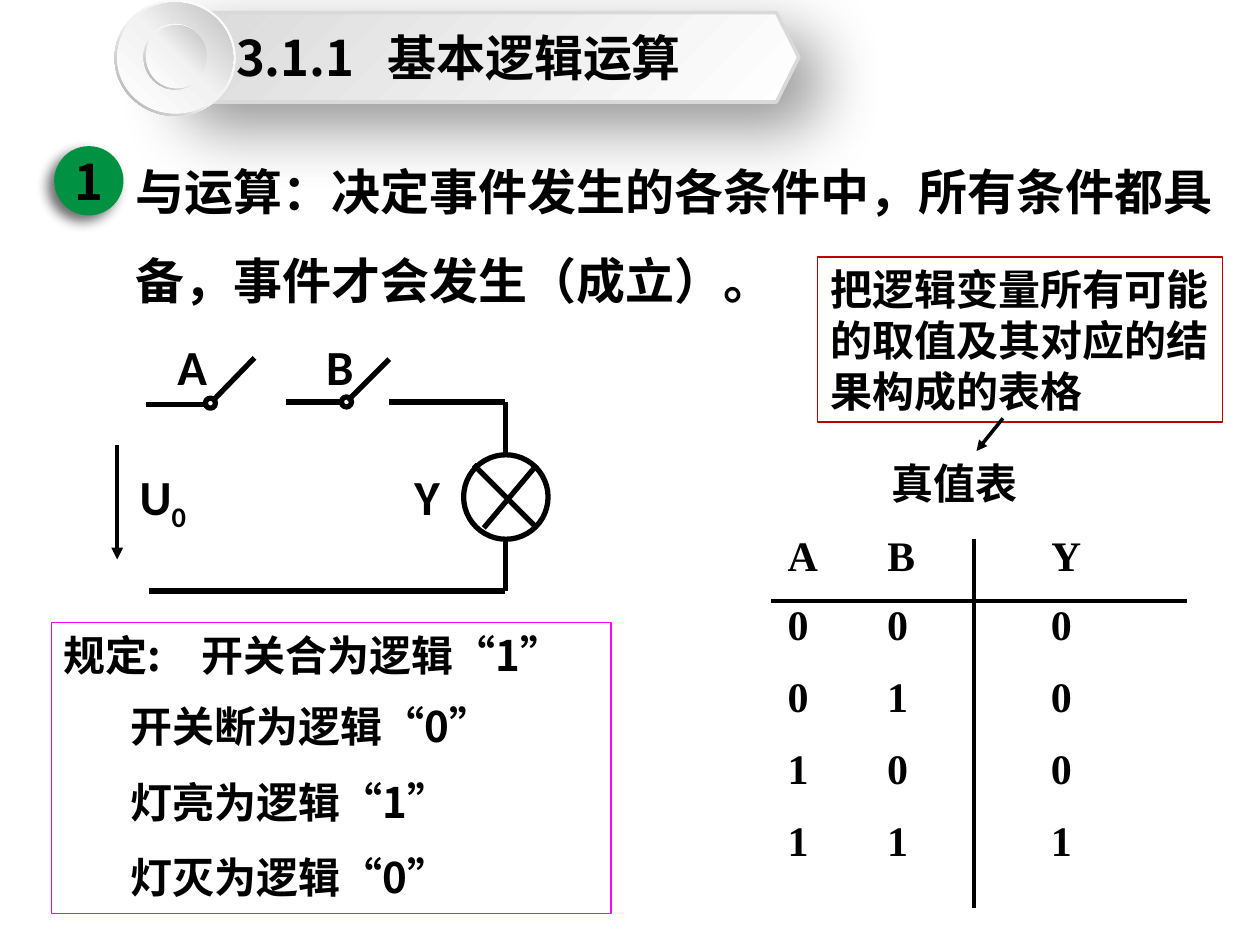
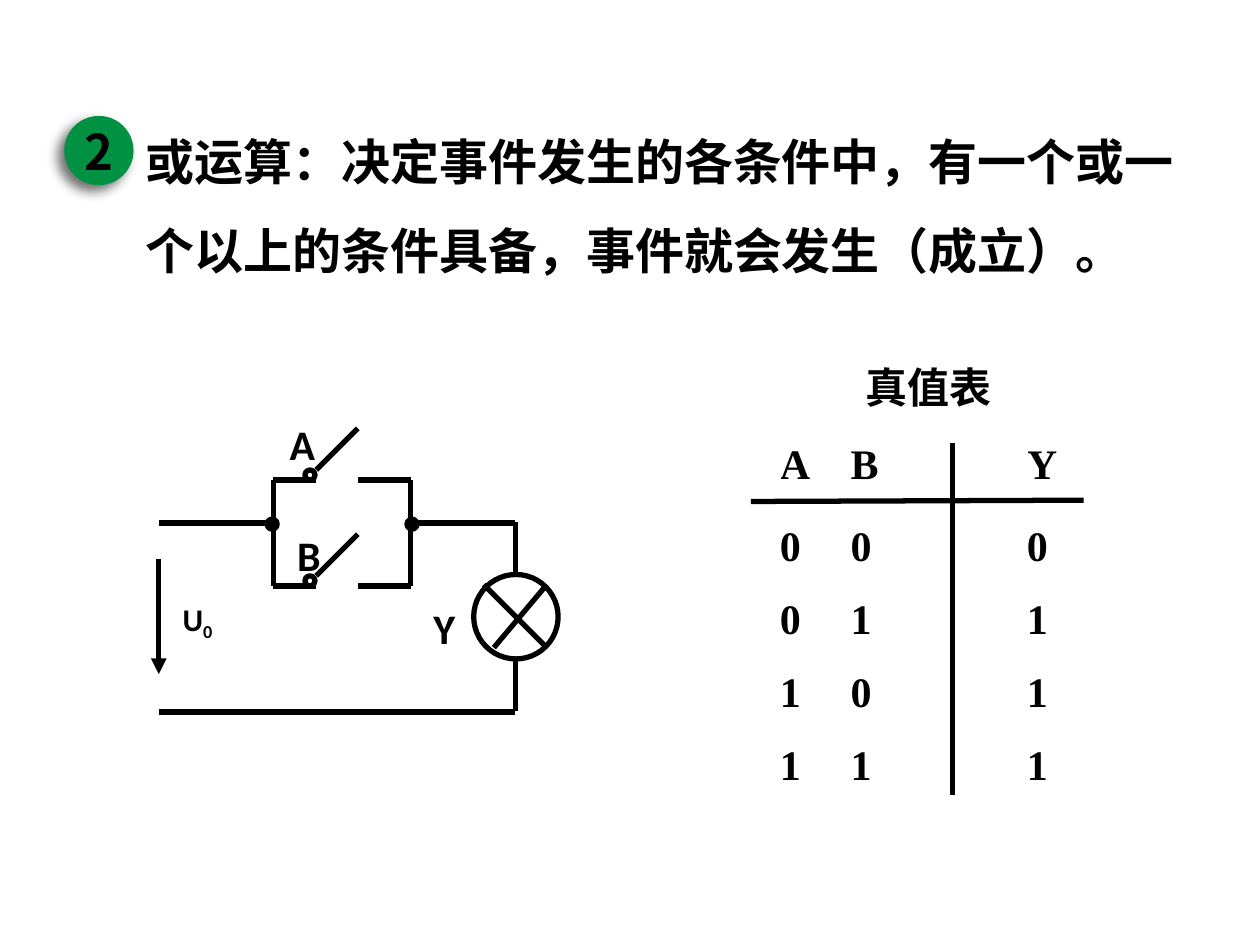
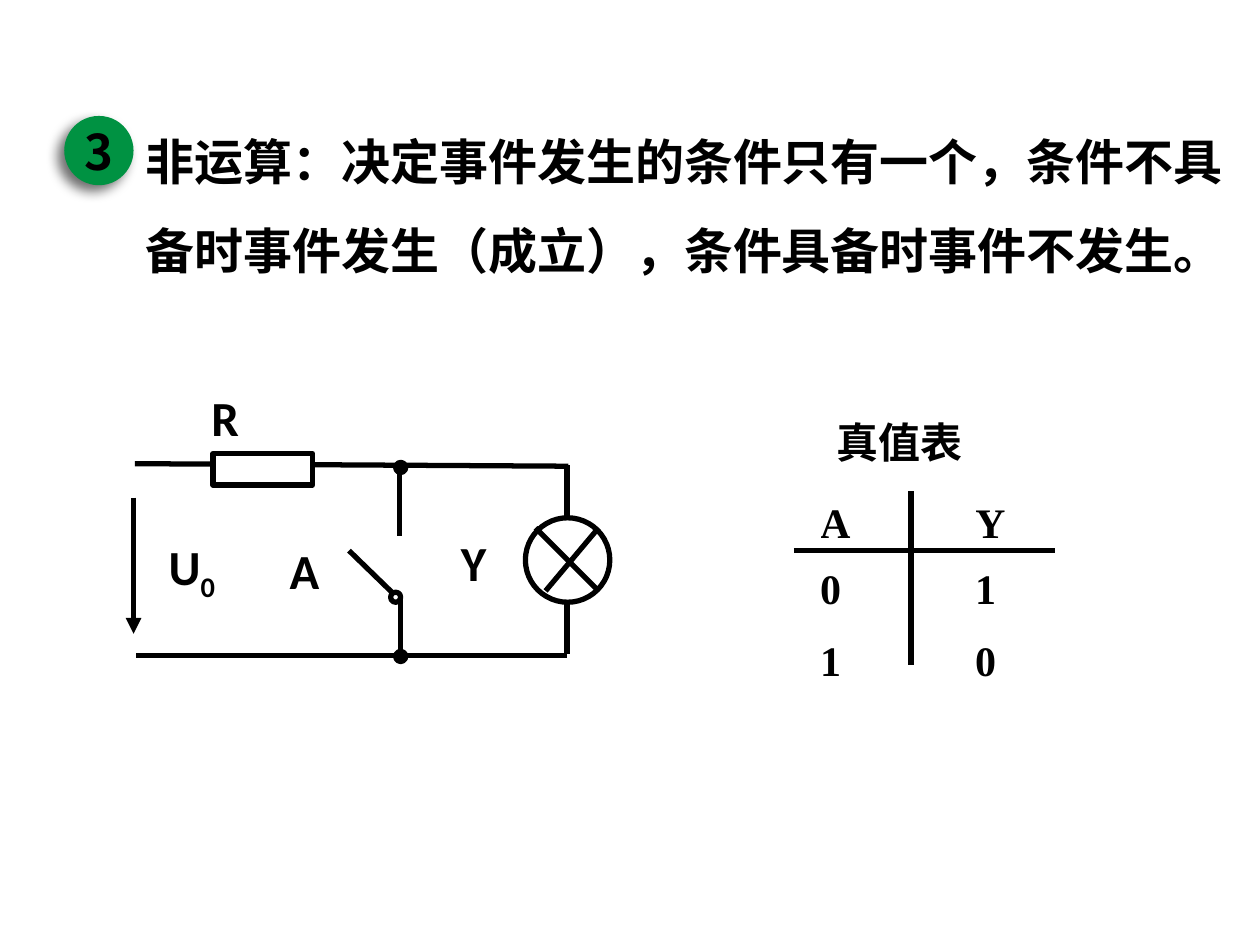
from dataclasses import dataclass

from lxml.etree import SubElement
from pptx import Presentation
from pptx.dml.color import RGBColor
from pptx.enum.shapes import MSO_CONNECTOR as Connector, MSO_SHAPE as Preset
from pptx.enum.text import MSO_ANCHOR as Anchor, PP_ALIGN as Align
from pptx.oxml.ns import qn
from pptx.util import Inches, Pt


@dataclass(frozen=True)
class Theme:
    ink: str = "000000"
    paper: str = "FFFFFF"
    badge: str = "009242"
    edge: str = "D9D9D9"
    rules: str = "FF00FF"
    callout: str = "C00000"
    banner: tuple = ((0, "FFFFFF"), (100, "D9D9D9"))
    ring: tuple = ((0, "FFFFFF"), (55, "F2F2F2"), (100, "A6A6A6"))
    disc: tuple = ((0, "FFFFFF"), (51, "F2F2F2"), (100, "BFBFBF"))
    # Shadows: opacity %, blur, distance, direction
    banner_shadow: tuple = (42, 38, 19, 45)
    badge_shadow: tuple = (57, 7, 5, 135)
    sans: str = "Noto Sans CJK SC"
    latin: str = "Calibri"
    serif: str = "Times New Roman"
    heading: int = 28
    text: int = 24
    small: int = 18
    body_leading: float = 50.6
    text_leading: int = 29
    wire: float = 3
    rule: float = 2
    thin: float = 0.75


COLUMNS, ROWS = 100, 75
WIDTH, HEIGHT = Inches(10), Inches(7.5)


def across(columns):
    return round(WIDTH * columns / COLUMNS)


def down(rows):
    return round(HEIGHT * rows / ROWS)


def place(left, top, width, height):
    return across(left), down(top), across(width), down(height)


def assign(target, formats):
    for name, value in formats.items():
        setattr(target, name, value)


class Page:
    def __init__(self, deck, theme):
        self.theme = theme
        self.shapes = deck.slides.add_slide(deck.slide_layouts[6]).shapes

    # Text
    def span(self, para, text, size, font, subscript=False):
        span = para.add_run()
        span.text = text
        assign(span.font, {"size": Pt(size), "name": font, "bold": True})
        span.font.color.rgb = RGBColor.from_string(self.theme.ink)
        properties = span.font._element
        SubElement(properties, qn("a:ea"), typeface=self.theme.sans)
        if subscript:
            properties.set("baseline", "-25000")

    def letter(self, box, text, size, font, para_format=None, **frame_format):
        frame = box.text_frame
        assign(frame, {"word_wrap": True, "vertical_anchor": Anchor.TOP, **frame_format})
        para = frame.paragraphs[0]
        assign(para, {"alignment": Align.LEFT, **(para_format or {})})
        self.span(para, text, size, font)
        return para

    def tab_stop(self, para, columns):
        stops = SubElement(para._p.get_or_add_pPr(), qn("a:tabLst"))
        SubElement(stops, qn("a:tab"), pos=str(across(columns)), algn="l")

    def text(self, at, text, size, font, **para_format):
        box = self.shapes.add_textbox(*place(*at))
        return self.letter(box, text, size, font, para_format)

    def label(self, left, top, text, size, subscript=""):
        para = self.text((left, top, 7.5, 5.7), text, size, self.theme.latin)
        if subscript:
            self.span(para, subscript, size, self.theme.latin, subscript=True)

    # Shapes and lines
    def shape(self, preset, at, fill=None, line=None, weight=1, angle=0, shadow=None):
        shape = self.shapes.add_shape(preset, *place(*at))
        shape.shadow.inherit = False
        if fill is None:
            shape.fill.background()
        elif isinstance(fill, str):
            shape.fill.solid()
            shape.fill.fore_color.rgb = RGBColor.from_string(fill)
        else:
            self.gradient(shape, fill, angle)
        if line:
            shape.line.color.rgb = RGBColor.from_string(line)
            shape.line.width = Pt(weight)
        else:
            shape.line.fill.background()
        if shadow:
            self.cast(shape, *shadow)
        return shape

    def gradient(self, shape, stops, angle):
        shape.fill.gradient()
        shape.fill.gradient_angle = 360 - angle
        stop_list = shape._element.spPr.find(".//" + qn("a:gsLst"))
        stop_list.clear()
        for position, color in stops:
            stop = SubElement(stop_list, qn("a:gs"), pos=str(position * 1000))
            SubElement(stop, qn("a:srgbClr"), val=color)

    def cast(self, shape, opacity, blur, distance, direction):
        effects = shape._element.spPr.find(qn("a:effectLst"))
        outer = SubElement(effects, qn("a:outerShdw"), blurRad=str(Pt(blur)),
                           dist=str(Pt(distance)), dir=str(direction * 60000),
                           algn="ctr", rotWithShape="0")
        color = SubElement(outer, qn("a:srgbClr"), val=self.theme.ink)
        SubElement(color, qn("a:alpha"), val=str(opacity * 1000))

    def line(self, x1, y1, x2, y2, weight=None, arrow=False):
        line = self.shapes.add_connector(Connector.STRAIGHT, across(x1), down(y1),
                                         across(x2), down(y2))
        line.line.color.rgb = RGBColor.from_string(self.theme.ink)
        line.line.width = Pt(weight or self.theme.wire)
        properties = line._element.spPr
        if arrow:
            SubElement(properties.find(qn("a:ln")), qn("a:tailEnd"), type="triangle")
        SubElement(properties, qn("a:effectLst"))

    # Circuit parts
    def wires(self, *runs):
        for run in runs:
            self.line(*run)

    def node(self, left, top, fill=None):
        self.shape(Preset.OVAL, (left, top, 0.8, 0.8), fill or self.theme.paper,
                   self.theme.ink, self.theme.wire)

    def lamp(self, left, top):
        self.shape(Preset.OVAL, (left, top, 6.7, 6.7), self.theme.paper,
                   self.theme.ink, self.theme.wire)
        strokes = ((0.8, 0.8, 5.8, 5.8), (1.6, 5.8, 5.8, 0.8),
                   (3.3, 0, 3.3, -4.2), (3.3, 10.8, 3.3, 6.7))
        for x1, y1, x2, y2 in strokes:
            self.line(left + x1, top + y1, left + x2, top + y2)

    # Slide parts
    def banner(self, number, title):
        theme = self.theme
        bar = self.shape(Preset.HEXAGON, (12.3, 1, 51.1, 7.1), theme.banner,
                         theme.edge, 2, 225, theme.banner_shadow)
        para = self.letter(bar, f"{number}\t{title}", theme.heading, theme.sans,
                           vertical_anchor=Anchor.MIDDLE, margin_left=across(1.6))
        self.tab_stop(para, 12)
        knob = ((9.1, 0, 9.6, 9.2), (9.3, 0.2, 9.2, 8.8),
                (11.4, 1.9, 5, 5.2), (11.6, 2, 4.8, 5))
        for index, at in enumerate(knob):
            if index % 2:
                self.shape(Preset.OVAL, at, theme.disc, angle=315)
            else:
                ring = self.shape(Preset.DONUT, at, theme.ring, angle=135)
                ring.adjustments[0] = 0.05

    def definition(self, number, text, left, top, width, font):
        theme = self.theme
        self.text((left + 5.5, top - 1.6, width, 14.2), text, theme.heading, font,
                  line_spacing=Pt(theme.body_leading))
        badge = self.shape(Preset.OVAL, (left, top, 5.5, 5.5), theme.badge,
                           shadow=theme.badge_shadow)
        self.letter(badge, number, theme.heading, theme.sans, {"alignment": Align.CENTER},
                    vertical_anchor=Anchor.MIDDLE, margin_left=0, margin_right=0)

    def truth_table(self, caption_at, lines, columns, top, pad, level, upright, weight):
        """Columns lists each column's left edge and the right end of the table."""
        theme = self.theme
        self.text((*caption_at, 15, 5), "真值表", theme.text, theme.serif,
                  line_spacing=Pt(theme.text_leading))
        rule, pitch = level[1], 5.7
        height = rule - top + pitch * (len(lines) - 1)
        table = self.shapes.add_table(
            len(lines), len(lines[0]),
            *place(columns[0], top, columns[-1] - columns[0], height)).table
        assign(table, {"first_row": False, "horz_banding": False})
        for index, column in enumerate(table.columns):
            column.width = across(columns[index + 1] - columns[index])
        for index, (row, values) in enumerate(zip(table.rows, lines)):
            row.height = down(pitch if index else rule - top)
            margins = {"margin_left": 0, "margin_right": 0, "margin_bottom": 0,
                       "margin_top": down(pad) if index else 0}
            for cell, value in zip(row.cells, values):
                cell.fill.background()
                assign(cell, margins)
                self.span(cell.text_frame.paragraphs[0], value, theme.text, theme.serif)
        for run in (level, upright):
            self.line(*run, weight=weight)


def and_page(deck, theme):
    page = Page(deck, theme)
    page.banner("3.1.1", "基本逻辑运算")

    # Series circuit
    for left, top in ((16.3, 31.6), (27.1, 31.5)):
        page.node(left, top)
    page.wires((11.6, 32.1, 16.5, 32.1), (16.9, 31.8, 20.2, 28.4),
               (22.7, 31.9, 27.1, 31.9), (27.6, 31.8, 30.9, 28.5),
               (30.9, 31.9, 40.1, 31.9), (40.1, 46.9, 11.8, 46.9))
    page.lamp(36.8, 36.1)
    page.line(9.3, 35.3, 9.3, 44.4, 2.25, arrow=True)
    page.label(10.1, 36.5, "U", theme.heading, "0")
    for left, top, name in ((13.1, 26.2, "A"), (24.9, 26.2, "B"), (31.9, 36.5, "Y")):
        page.label(left, top, name, theme.heading)

    page.truth_table((69.8, 35.8), ("ABY", "000", "010", "100", "111"),
                     (62.5, 70.4, 83.4, 94.2), 42.4, 0.2,
                     (61.2, 47.7, 94.2, 47.7), (77.3, 42.8, 77.3, 72.1), theme.rule)

    # Conventions
    box = page.shape(Preset.RECTANGLE, (4.1, 49.4, 44.4, 23.1),
                     line=theme.rules, weight=theme.thin)
    leading = {"line_spacing": Pt(theme.text_leading)}
    para = page.letter(box, "规定:\t开关合为逻辑“1”", theme.text, theme.sans, leading)
    page.tab_stop(para, 10.9)
    for text, space in (("开关断为逻辑“0”", 12), ("灯亮为逻辑“1”", 14),
                        ("灯灭为逻辑“0”", 14)):
        para = box.text_frame.add_paragraph()
        assign(para, {"alignment": Align.LEFT, "space_before": Pt(space), **leading})
        para._p.get_or_add_pPr().set("marL", str(across(5.3)))
        page.span(para, text, theme.text, theme.sans)

    page.definition("1", "与运算：决定事件发生的各条件中，所有条件都具备，事件才会发生（成立）。",
                    4.3, 11.6, 90.5, theme.sans)

    # Callout for the truth table
    box = page.shape(Preset.RECTANGLE, (64.9, 20.4, 32.1, 13.1),
                     line=theme.callout, weight=theme.thin)
    page.letter(box, "把逻辑变量所有可能的取值及其对应的结果构成的表格",
                theme.text, theme.latin, leading)
    page.line(79.6, 33.2, 77.5, 35.8, theme.rule, arrow=True)


def or_page(deck, theme):
    page = Page(deck, theme)
    page.definition("2", "或运算：决定事件发生的各条件中，有一个或一个以上的条件具备，事件就会发生（成立）。",
                    5.1, 9.2, 84.7, theme.serif)

    # Parallel circuit: two equal switch branches
    for level in (38.1, 46.5):
        page.node(24.2, level - 0.8)
        page.wires((21.7, level, 25.1, level), (25.1, level - 0.8, 28.4, level - 4.1),
                   (28.4, level, 32.6, level))
    page.lamp(37.6, 45.6)
    page.wires((21.7, 38.1, 21.7, 46.5), (32.6, 38.1, 32.6, 46.5),
               (32.6, 41.5, 40.9, 41.5), (12.6, 41.5, 21.7, 41.5),
               (40.9, 56.5, 12.6, 56.5))
    page.line(12.6, 44.4, 12.6, 53.5, arrow=True)
    for left in (21.2, 32.3):
        page.node(left, 41.2, theme.ink)
    page.label(13.5, 47.1, "U", theme.small, "0")
    for left, top, name in ((22, 32.7, "A"), (22.6, 41.5, "B"), (33.4, 47.3, "Y")):
        page.label(left, top, name, theme.text)

    page.truth_table((67.7, 28.2), ("ABY", "000", "011", "101", "111"),
                     (61.9, 67.5, 81.5, 86), 35.1, 1.8,
                     (59.6, 39.8, 86, 39.7), (75.6, 35.2, 75.6, 63.1), theme.wire)


def not_page(deck, theme):
    page = Page(deck, theme)
    page.definition("3", "非运算：决定事件发生的条件只有一个，条件不具备时事件发生（成立），条件具备时事件不发生。",
                    5.1, 9.2, 88, theme.serif)
    page.truth_table((65.4, 32.5), ("AY", "01", "10"), (65.1, 77.4, 83.7), 39.8, 1.2,
                     (63, 43.7, 83.7, 43.7), (72.3, 39, 72.3, 52.8), theme.wire)

    # Circuit with the switch across the lamp
    page.node(31, 47)
    page.lamp(41.7, 41.1)
    page.wires((31.1, 47, 27.7, 43.7), (10.7, 36.8, 45.1, 37), (31.7, 42.5, 31.7, 37.2),
               (10.8, 52, 45, 52), (31.8, 47.3, 31.8, 51.7))
    for top in (51.7, 36.7):
        page.node(31.4, top, theme.ink)
    page.line(10.6, 39.5, 10.6, 50.3, arrow=True)
    page.shape(Preset.RECTANGLE, (16.9, 36, 7.9, 2.5), theme.paper, theme.ink, theme.wire)
    page.label(12.4, 42.1, "U", theme.heading, "0")
    for left, top, name in ((15.8, 30.3, "R"), (22, 42.4, "A"), (35.6, 41.8, "Y")):
        page.label(left, top, name, theme.heading)


def main():
    deck = Presentation()
    assign(deck, {"slide_width": WIDTH, "slide_height": HEIGHT})
    theme = Theme()
    for build in (and_page, or_page, not_page):
        build(deck, theme)
    deck.save("out.pptx")


if __name__ == "__main__":
    main()
